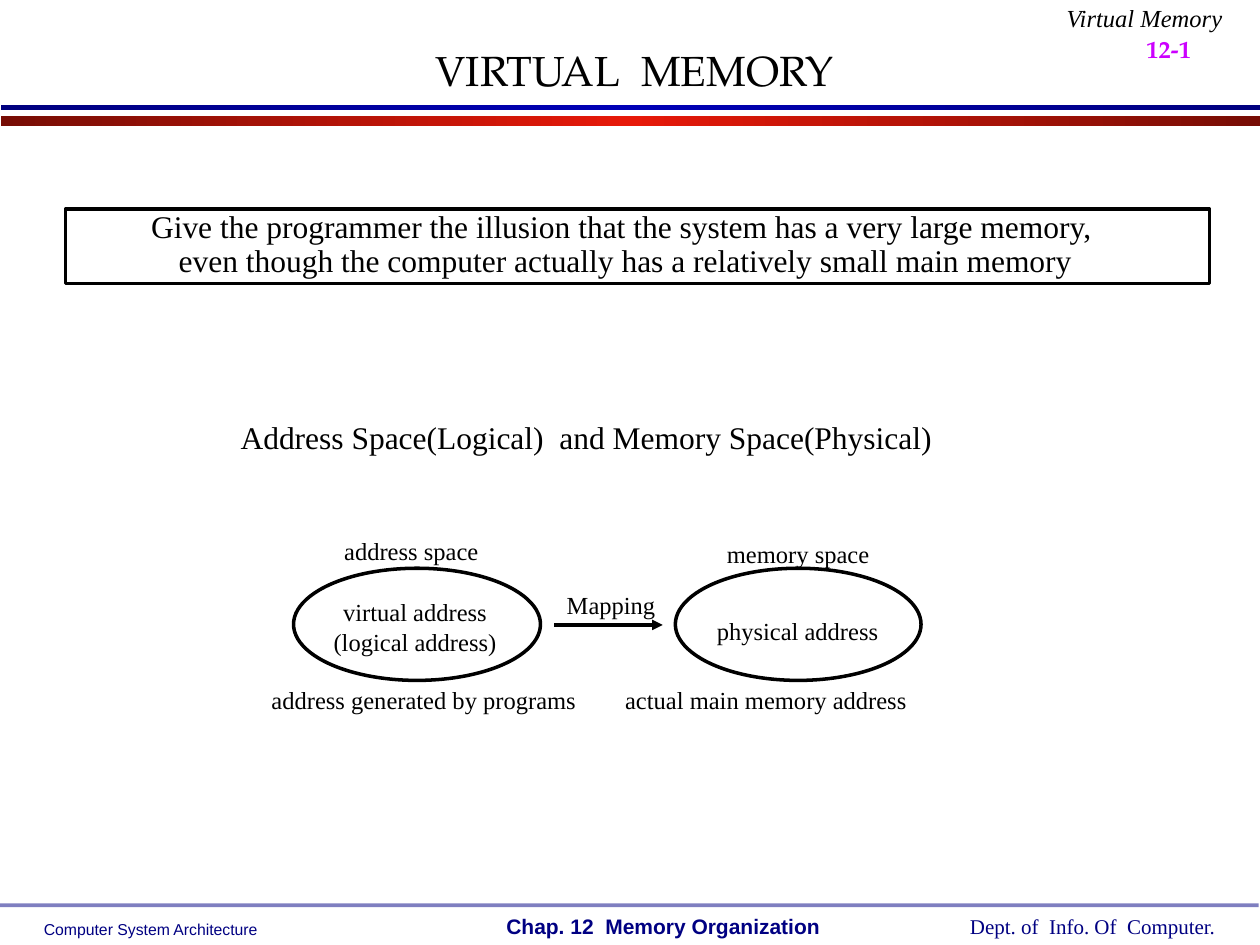
"""Build the virtual memory introduction slide."""
import copy
from dataclasses import dataclass

import lxml.etree
import pptx
import pptx.dml.color
import pptx.enum.shapes
import pptx.enum.text
import pptx.oxml.ns
import pptx.util

Inches = pptx.util.Inches
Pt = pptx.util.Pt
Align = pptx.enum.text.PP_ALIGN
AutoSize = pptx.enum.text.MSO_AUTO_SIZE
Shape = pptx.enum.shapes.MSO_SHAPE
qn = pptx.oxml.ns.qn


@dataclass(frozen=True)
class Theme:
    ink: str = "000000"
    navy: str = "000082"
    magenta: str = "CC00FF"
    red_band: tuple = ("770D05", "E71909", "770D05")
    blue_band: tuple = ("00007F", "0000B6", "00007F")
    serif: str = "Times New Roman"
    sans: str = "Arial"
    display: str = "TeX Gyre Pagella"
    title: int = 24
    body: int = 18
    label: int = 14
    footer: int = 12
    small: int = 9
    line: int = 2


THEME = Theme()
WIDE_INSETS = (0.1, 0.05)
TIGHT_INSETS = (0.07, 0.03)

BANDS = [
    ((0.01, 0.92, 9.99, 0.08), THEME.red_band),
    ((0.01, 0.83, 9.99, 0.04), THEME.blue_band),
]
FOOTER_RULE = (0, 7.17, 9.99, 0.03)

FOOTERS = [
    ("Computer System Architecture", (0.25, 7.25, 1.9, 0.25), THEME.small, THEME.sans, False),
    ("Dept. of  Info. Of  Computer.", (7.6, 7.2, 2.16, 0.3), THEME.footer, THEME.serif, False),
    ("Chap. 12  Memory Organization", (3.92, 7.2, 2.69, 0.3), THEME.footer, THEME.sans, True),
]

TITLE = ("VIRTUAL  MEMORY", (0.58, 0.3, 8.91, 0.51))
PAGE_NUMBER = ("12-1", (9, 0, 1.08, 0.56))
TOPIC = ("Virtual Memory", (8.35, 0, 1.45, 0.31))

STATEMENTS = [
    ("Give the programmer the illusion that the system has a very large memory, \n"
     "even though the computer actually has a relatively small main memory",
     (1.12, 1.65, 7.69, 0.6), 0.9),
    ("Address Space(Logical)  and Memory Space(Physical)", (1.84, 3.28, 5.63, 0.36), 1.02),
]
STATEMENT_FRAME = (0.52, 1.66, 9.08, 0.59)

SPACES = [(2.33, 4.51, 1.96, 0.89), (5.36, 4.51, 1.95, 0.89)]
MAPPING_ARROW = (4.4, 5.26, 4.96)
LABELS = [
    ("virtual address\n(logical address)", (2.58, 4.71, 1.43, 0.53)),
    ("physical address", (5.62, 4.86, 1.42, 0.29)),
    ("address space", (2.66, 4.22, 1.21, 0.29)),
    ("memory space", (5.7, 4.25, 1.27, 0.29)),
    ("address generated by programs", (2.08, 5.41, 2.57, 0.29)),
    ("actual main memory address", (4.88, 5.41, 2.4, 0.29)),
    ("Mapping", (4.43, 4.65, 0.84, 0.29)),
]
LABEL_SLACK = 0.1


def color(value):
    return pptx.dml.color.RGBColor.from_string(value)


def widen(box):
    left, top, width, height = box
    return left - LABEL_SLACK, top, width + 2 * LABEL_SLACK, height


def add_text(slide, text, box, size, font=THEME.serif, ink=THEME.ink, insets=TIGHT_INSETS,
             align=Align.CENTER, spacing=None, bold=False, italic=False, wrap=False):
    shape = slide.shapes.add_textbox(*map(Inches, box))
    frame = shape.text_frame
    frame.word_wrap = wrap
    frame.auto_size = AutoSize.NONE if wrap else AutoSize.SHAPE_TO_FIT_TEXT
    frame.margin_left = frame.margin_right = Inches(insets[0])
    frame.margin_top = frame.margin_bottom = Inches(insets[1])
    frame.text = text
    for paragraph in frame.paragraphs:
        paragraph.alignment = align
        paragraph.line_spacing = spacing
        for run in paragraph.runs:
            run.font.name = font
            run.font.size = Pt(size)
            run.font.bold = bold
            run.font.italic = italic
            run.font.color.rgb = color(ink)
    return frame


def add_filled(slide, box):
    shape = slide.shapes.add_shape(Shape.RECTANGLE, *map(Inches, box))
    shape.shadow.inherit = False
    shape.line.fill.background()
    return shape


def add_band(slide, box, colors):
    fill = add_filled(slide, box).fill
    fill.gradient()
    fill.gradient_angle = 0
    last = fill.gradient_stops[1]._gs
    last.addprevious(copy.deepcopy(last))
    for stop, value, position in zip(fill.gradient_stops, colors, (0, 0.5, 1)):
        stop.color.rgb = color(value)
        stop.position = position


def add_footer_rule(slide):
    shape = add_filled(slide, FOOTER_RULE)
    shape.fill.solid()
    shape.fill.fore_color.rgb = color(THEME.navy)
    tint = shape.fill._xPr.find(".//" + qn("a:srgbClr"))
    lxml.etree.SubElement(tint, qn("a:alpha"), val="50000")


def add_outline(slide, kind, box):
    shape = slide.shapes.add_shape(kind, *map(Inches, box))
    shape.shadow.inherit = False
    shape.fill.background()
    shape.line.color.rgb = color(THEME.ink)
    shape.line.width = Pt(THEME.line)


def add_arrow(slide, start, end, level):
    arrow = slide.shapes.add_connector(
        pptx.enum.shapes.MSO_CONNECTOR.STRAIGHT, *map(Inches, (start, level, end, level)))
    arrow.line.color.rgb = color(THEME.ink)
    arrow.line.width = Pt(THEME.line)
    lxml.etree.SubElement(arrow.line._get_or_add_ln(), qn("a:tailEnd"), type="triangle")
    lxml.etree.SubElement(arrow._element.spPr, qn("a:effectLst"))


def add_header(slide):
    for box, colors in BANDS:
        add_band(slide, box, colors)
    number = add_text(slide, *PAGE_NUMBER, THEME.title, THEME.display, THEME.magenta,
                      WIDE_INSETS, Align.LEFT, bold=True, wrap=True).paragraphs[0]
    number.space_before = Pt(15)
    number.runs[0].font._element.set("baseline", "-25000")
    title = add_text(slide, *TITLE, THEME.title, THEME.display, insets=WIDE_INSETS, wrap=True)
    title.vertical_anchor = pptx.enum.text.MSO_ANCHOR.MIDDLE
    add_text(slide, *TOPIC, THEME.label, insets=WIDE_INSETS, align=Align.RIGHT,
             spacing=0.9, italic=True)


def add_footer(slide):
    for text, box, size, font, bold in FOOTERS:
        add_text(slide, text, box, size, font, THEME.navy, WIDE_INSETS, Align.LEFT, bold=bold)
    add_footer_rule(slide)


def add_content(slide):
    for text, box, spacing in STATEMENTS:
        add_text(slide, text, widen(box), THEME.body, spacing=spacing)
    add_outline(slide, Shape.RECTANGLE, STATEMENT_FRAME)
    for box in SPACES:
        add_outline(slide, Shape.OVAL, box)
    add_arrow(slide, *MAPPING_ARROW)
    for text, box in LABELS:
        add_text(slide, text, widen(box), THEME.label)


def main():
    presentation = pptx.Presentation()
    presentation.slide_width = Inches(10)
    presentation.slide_height = Inches(7.5)
    slide = presentation.slides.add_slide(presentation.slide_layouts[6])
    add_header(slide)
    add_footer(slide)
    add_content(slide)
    presentation.save("out.pptx")


if __name__ == "__main__":
    main()
